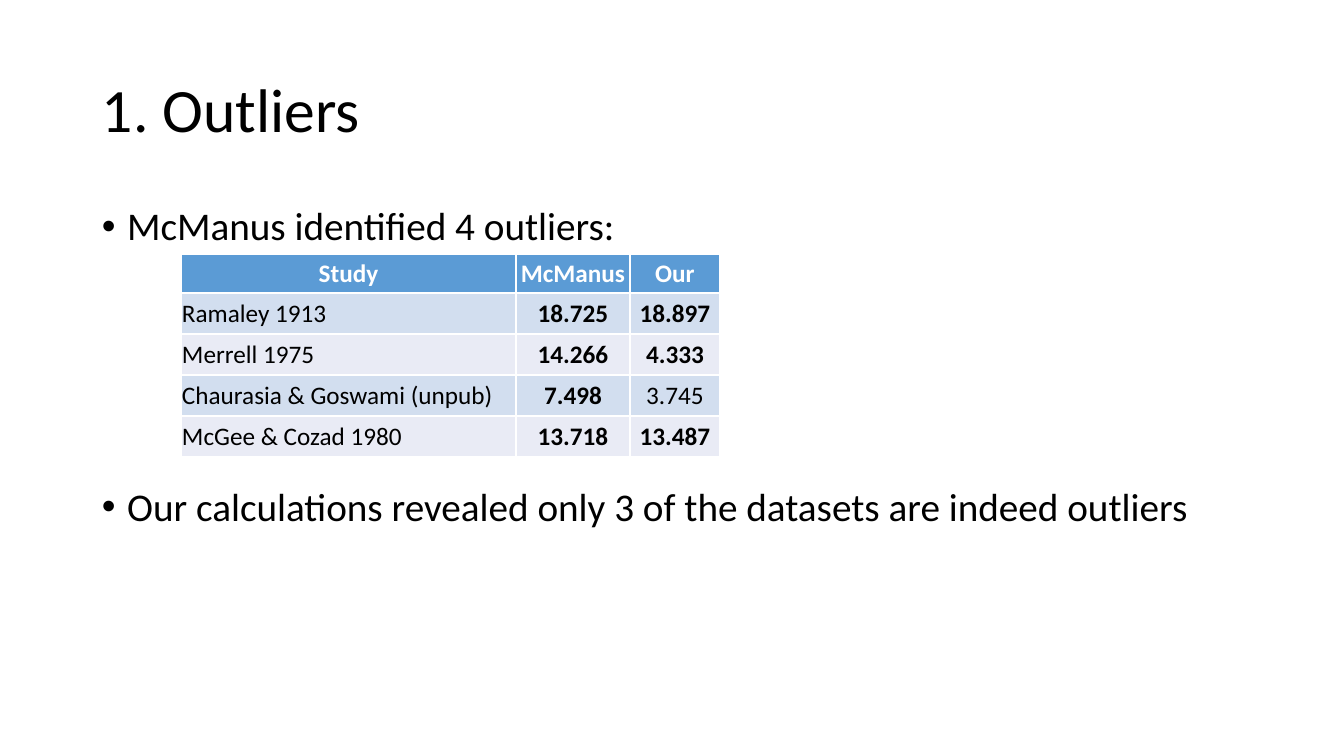
from lxml.etree import SubElement
from pptx import Presentation
from pptx.dml.color import RGBColor
from pptx.enum.text import MSO_ANCHOR, PP_ALIGN
from pptx.oxml.ns import qn
from pptx.util import Emu, Pt


def px(n):
    return Emu(round(n * 12192000 / 1344))


def color(code):
    return RGBColor.from_string(code)


class Deck:
    font = "Calibri"
    ink = "000000"
    white = "FFFFFF"
    head = "5B9BD5"
    bands = ("D2DEEF", "E9EBF5")

    def __init__(self):
        self.prs = Presentation()
        self.prs.slide_width, self.prs.slide_height = px(1344), px(756)
        self.slide = self.prs.slides.add_slide(self.prs.slide_layouts[6])
        fill = self.slide.background.fill
        fill.solid()
        fill.fore_color.rgb = color(self.white)

    def run(self, para, text, size, code=ink, bold=False):
        run = para.add_run()
        run.text = text
        run.font.name = self.font
        run.font.size = Pt(size)
        run.font.bold = bold
        run.font.color.rgb = color(code)

    def frame(self, x, y, w, h, anchor):
        box = self.slide.shapes.add_textbox(px(x), px(y), px(w), px(h))
        frame = box.text_frame
        frame.word_wrap = True
        frame.vertical_anchor = anchor
        return frame

    def title(self, text, *place):
        para = self.frame(*place, MSO_ANCHOR.MIDDLE).paragraphs[0]
        para.line_spacing = 0.9
        self.run(para, text, 44)

    def bullets(self, items, gap, *place):
        frame = self.frame(*place, MSO_ANCHOR.TOP)
        for i, text in enumerate(items):
            para = frame.add_paragraph() if i else frame.paragraphs[0]
            para.line_spacing = 0.9
            if i:
                para.space_before = Pt(gap)
            props = para._p.get_or_add_pPr()
            props.set("marL", "228600")
            props.set("indent", "-228600")
            SubElement(props, qn("a:buFont"), typeface="Arial")
            SubElement(props, qn("a:buChar"), char="•")
            self.run(para, text, 28)

    def border(self, cell):
        props = cell._tc.get_or_add_tcPr()
        for i, side in enumerate(("lnL", "lnR", "lnT", "lnB")):
            line = props.makeelement(qn("a:" + side), {"w": "12700"})
            fill = SubElement(line, qn("a:solidFill"))
            SubElement(fill, qn("a:srgbClr"), val=self.white)
            props.insert(i, line)

    def cell(self, cell, text, fill, code, bold, align):
        cell.fill.solid()
        cell.fill.fore_color.rgb = color(fill)
        cell.margin_left = cell.margin_right = cell.margin_top = px(1)
        cell.margin_bottom = 0
        cell.vertical_anchor = MSO_ANCHOR.MIDDLE
        para = cell.text_frame.paragraphs[0]
        para.alignment = align
        self.run(para, text, 18, code, bold)
        self.border(cell)

    def table(self, rows, plain, x, y, widths, heights):
        shape = self.slide.shapes.add_table(
            len(rows), len(widths), px(x), px(y), px(sum(widths)), px(sum(heights)))
        table = shape.table
        for col, w in zip(table.columns, widths):
            col.width = px(w)
        for r, row in enumerate(rows):
            table.rows[r].height = px(heights[r])
            top = r == 0
            for c, text in enumerate(row):
                name = c == 0 and not top
                self.cell(
                    table.cell(r, c), text,
                    self.head if top else self.bands[(r - 1) % 2],
                    self.white if top else self.ink,
                    not name and text not in plain,
                    PP_ALIGN.LEFT if name else PP_ALIGN.CENTER)


def main():
    deck = Deck()

    # Heading
    deck.title("1. Outliers", 92, 40, 1159, 146)

    # Bullets, with room between them for the table
    deck.bullets(
        ("McManus identified 4 outliers:",
         "Our calculations revealed only 3 of the datasets are indeed outliers"),
        170, 92, 202, 1159, 480)

    # Outlier table: values in bold, except the one that is no outlier
    rows = (
        ("Study", "McManus", "Our"),
        ("Ramaley 1913", "18.725", "18.897"),
        ("Merrell 1975", "14.266", "4.333"),
        ("Chaurasia & Goswami (unpub)", "7.498", "3.745"),
        ("McGee & Cozad 1980", "13.718", "13.487"),
    )
    deck.table(rows, ("3.745",), 181, 254, (335, 114, 90), (39,) + (41,) * 4)

    deck.prs.save("out.pptx")


if __name__ == "__main__":
    main()
